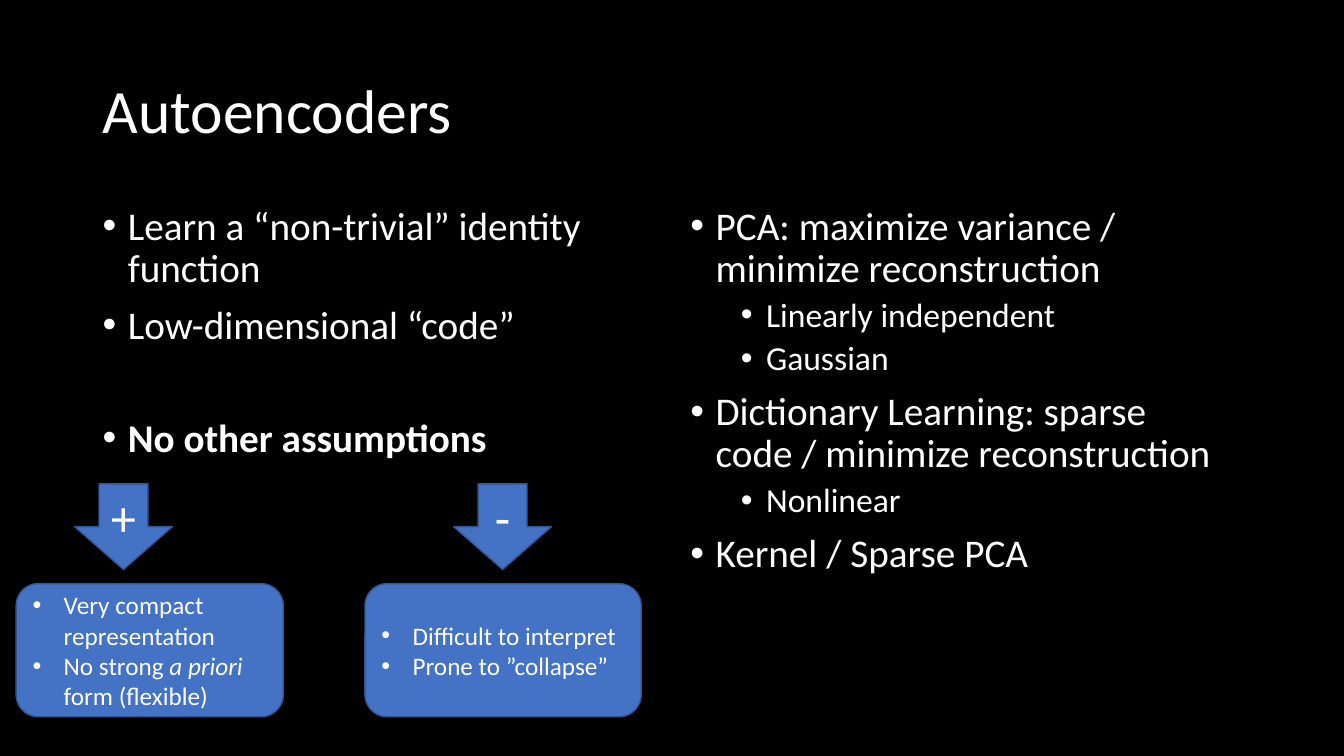
from dataclasses import dataclass

from lxml.etree import SubElement
from pptx import Presentation
from pptx.dml.color import RGBColor
from pptx.enum.shapes import MSO_SHAPE as Shape
from pptx.enum.text import MSO_ANCHOR as Anchor, PP_ALIGN as Align
from pptx.oxml.ns import qn
from pptx.util import Pt

EMU_PER_PX = 9144
FONT = "Calibri"
BLACK, WHITE, BLUE, DARK_BLUE = "000000", "FFFFFF", "4472C4", "325491"


@dataclass(frozen=True)
class Span:
    text: str
    italic: bool = False


@dataclass(frozen=True)
class Bullet:
    text: str
    level: int = 0
    bold: bool = False
    before: float = 10


@dataclass(frozen=True)
class Column:
    left: int
    bullets: tuple[Bullet, ...]


@dataclass(frozen=True)
class Verdict:
    sign: str
    arrow_left: int
    card_left: int
    card_width: int
    points: tuple[tuple[Span, ...], ...]


COLUMNS = (
    Column(92, (
        Bullet("Learn a “non-trivial” identity function"),
        Bullet("Low-dimensional “code”"),
        Bullet("No other assumptions", bold=True, before=50.5),
    )),
    Column(675, (
        Bullet("PCA: maximize variance / minimize reconstruction"),
        Bullet("Linearly independent", level=1, before=5),
        Bullet("Gaussian", level=1, before=5),
        Bullet("Dictionary Learning: sparse code / minimize reconstruction"),
        Bullet("Nonlinear", level=1, before=5),
        Bullet("Kernel / Sparse PCA"),
    )),
)

VERDICTS = (
    Verdict("+", 74, 16, 265, (
        (Span("Very compact representation"),),
        (Span("No strong "), Span("a priori", italic=True), Span(" form (flexible)")),
    )),
    Verdict("-", 450, 362, 274, (
        (Span("Difficult to interpret"),),
        (Span("Prone to ”collapse”"),),
    )),
)


def px(length: int) -> int:
    """Turn px into EMU."""
    return length * EMU_PER_PX


def color(value: str) -> RGBColor:
    """Turn a hex string into a colour."""
    return RGBColor.from_string(value)


def add_para(frame, text, *, size, first=False, bold=False, indent=0, hang=0,
             level=0, spacing=None, before=0, align=Align.LEFT):
    """Write a paragraph of plain text or spans, bulleted if it hangs."""
    para = frame.paragraphs[0] if first else frame.add_paragraph()
    if hang:
        props = para._p.get_or_add_pPr()
        props.set("marL", str(px(indent)))
        props.set("indent", str(-px(hang)))
        SubElement(props, qn("a:buFont"), typeface="Arial")
        SubElement(props, qn("a:buChar"), char="•")
    para.level = level
    para.alignment = align
    if spacing:
        para.line_spacing = spacing
    para.space_before = Pt(0 if first else before)
    for span in (Span(text),) if isinstance(text, str) else text:
        run = para.add_run()
        run.text = span.text
        run.font.name = FONT
        run.font.size = Pt(size)
        run.font.bold = bold
        run.font.italic = span.italic
        run.font.color.rgb = color(WHITE)


def add_box(page, left: int, top: int, width: int, height: int, anchor=Anchor.TOP):
    """Add a wrapping text box and return its frame."""
    box = page.shapes.add_textbox(px(left), px(top), px(width), px(height))
    box.text_frame.word_wrap = True
    box.text_frame.vertical_anchor = anchor
    return box.text_frame


def add_block(page, kind, left: int, top: int, width: int, height: int):
    """Add a blue outlined shape and return its frame."""
    block = page.shapes.add_shape(kind, px(left), px(top), px(width), px(height))
    block.shadow.inherit = False
    block.fill.solid()
    block.fill.fore_color.rgb = color(BLUE)
    block.line.color.rgb = color(DARK_BLUE)
    block.line.width = Pt(1)
    block.text_frame.word_wrap = True
    block.text_frame.vertical_anchor = Anchor.MIDDLE
    return block.text_frame


def add_column(page, column: Column) -> None:
    """Add a column of two-level bullets."""
    frame = add_box(page, column.left, 200, 567, 476)
    for index, bullet in enumerate(column.bullets):
        add_para(frame, bullet.text, first=index == 0, bold=bullet.bold,
                 size=28 - 4 * bullet.level, level=bullet.level,
                 indent=25 + 50 * bullet.level, hang=25,
                 spacing=0.9, before=bullet.before)


def add_verdict(page, verdict: Verdict) -> None:
    """Add a signed arrow and the card of points below it."""
    arrow = add_block(page, Shape.DOWN_ARROW, verdict.arrow_left, 480, 97, 85)
    add_para(arrow, verdict.sign, size=36, first=True, align=Align.CENTER)
    card = add_block(page, Shape.ROUNDED_RECTANGLE, verdict.card_left, 579,
                     verdict.card_width, 132)
    for index, spans in enumerate(verdict.points):
        add_para(card, spans, size=18, first=index == 0, indent=31, hang=31)


def main() -> None:
    """Build and save the deck."""
    deck = Presentation()
    deck.slide_width, deck.slide_height = px(1333), px(750)
    page = deck.slides.add_slide(deck.slide_layouts[6])
    page.background.fill.solid()
    page.background.fill.fore_color.rgb = color(BLACK)
    title = add_box(page, 92, 40, 1150, 145, Anchor.MIDDLE)
    add_para(title, "Autoencoders", size=44, first=True, spacing=0.9)
    for column in COLUMNS:
        add_column(page, column)
    for verdict in VERDICTS:
        add_verdict(page, verdict)
    deck.save("out.pptx")


if __name__ == "__main__":
    main()
